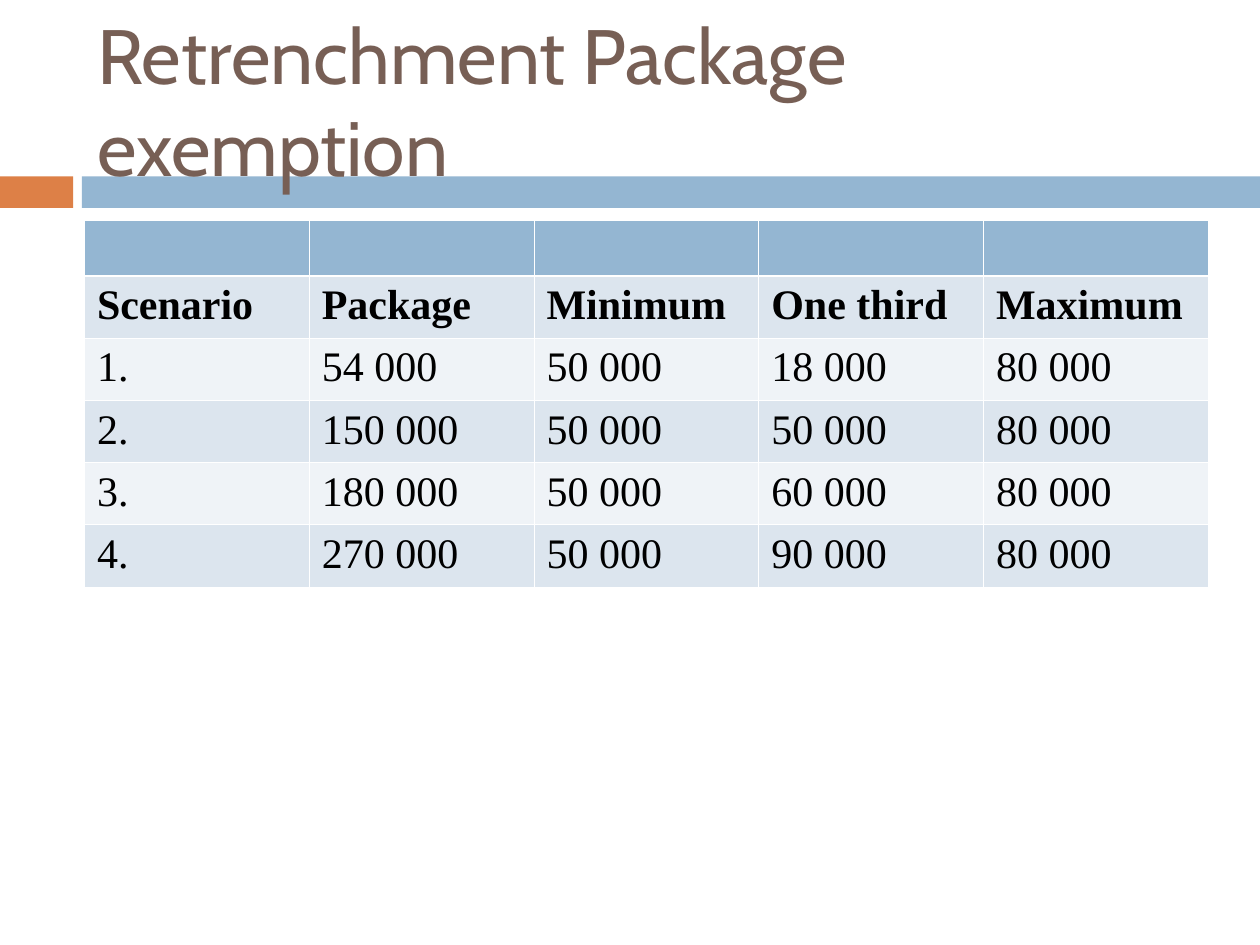
import pptx
import pptx.util
import pptx.dml.color
import pptx.enum.shapes
import pptx.enum.text
import pptx.oxml
import pptx.oxml.ns

Inches = pptx.util.Inches
Pt = pptx.util.Pt

BLUE, ORANGE, BROWN = "94B6D2", "DD8047", "775F55"
DARK, LIGHT = "DCE5EE", "EFF3F7"
ROWS = [
    ["", "", "", "", ""],
    ["Scenario", "Package", "Minimum", "One third", "Maximum"],
    ["1.", "54 000", "50 000", "18 000", "80 000"],
    ["2.", "150 000", "50 000", "50 000", "80 000"],
    ["3.", "180 000", "50 000", "60 000", "80 000"],
    ["4.", "270 000", "50 000", "90 000", "80 000"],
]


def paint(target, color):
    """Give a fill or font a solid colour."""
    if hasattr(target, "solid"):
        target.solid()
        target = target.fore_color
    else:
        target = target.color
    target.rgb = pptx.dml.color.RGBColor.from_string(color)


def style(item, form):
    for name, value in form.items():
        setattr(item, name, value)


def add_band(slide, left, top, width, height):
    """Draw the short orange block and the long blue bar."""
    block, gap = 0.58, 0.07
    start = block + gap
    for x, wide, color in [(0, block, ORANGE), (start, width - start, BLUE)]:
        bar = slide.shapes.add_shape(
            pptx.enum.shapes.MSO_SHAPE.RECTANGLE,
            Inches(left + x), Inches(top), Inches(wide), Inches(height))
        bar.shadow.inherit = False
        paint(bar.fill, color)
        bar.line.fill.background()


def set_title(slide, text, left, top, width, height):
    title = slide.shapes.title
    style(title, {"left": Inches(left), "top": Inches(top),
                  "width": Inches(width), "height": Inches(height)})
    frame = title.text_frame
    frame.text = text
    style(frame, {"word_wrap": True,
                  "auto_size": pptx.enum.text.MSO_AUTO_SIZE.NONE,
                  "vertical_anchor": pptx.enum.text.MSO_ANCHOR.MIDDLE})
    para = frame.paragraphs[0]
    para.alignment = pptx.enum.text.PP_ALIGN.LEFT
    font = para.runs[0].font
    style(font, {"name": "Cabin", "size": Pt(44), "bold": False})
    paint(font, BROWN)
    # The title overlaps the band, so it goes in front.
    slide.shapes.element.append(title.element)


def add_edges(cell, row):
    """Draw white cell borders, thicker below the header row."""
    widths = {"L": 0.45, "R": 0.45,
              "T": 1.47 if row == 1 else 0.45,
              "B": 1.47 if row == 0 else 0.45}
    props = cell._tc.get_or_add_tcPr()
    for side, width in widths.items():
        props.append(pptx.oxml.parse_xml(
            f'<a:ln{side} {pptx.oxml.ns.nsdecls("a")} w="{Pt(width)}">'
            '<a:solidFill><a:srgbClr val="FFFFFF"/></a:solidFill>'
            f'</a:ln{side}>'))


def fill_cell(cell, text, row):
    add_edges(cell, row)
    paint(cell.fill, BLUE if row == 0 else DARK if row % 2 else LIGHT)
    if text:
        cell.text = text
        font = cell.text_frame.paragraphs[0].runs[0].font
        style(font, {"name": "Times New Roman", "size": Pt(24),
                     "bold": row == 1})
        paint(font, "000000")


def add_grid(slide, left, top, width, height):
    head = 0.44
    step = (height - head) / (len(ROWS) - 1)
    grid = slide.shapes.add_table(
        len(ROWS), len(ROWS[0]), Inches(left), Inches(top),
        Inches(width), Inches(height)).table
    for r, texts in enumerate(ROWS):
        grid.rows[r].height = Inches(step if r else head)
        for c, text in enumerate(texts):
            fill_cell(grid.cell(r, c), text, r)


def main():
    deck = pptx.Presentation()
    style(deck, {"slide_width": Inches(10), "slide_height": Inches(7.5)})
    slide = deck.slides.add_slide(deck.slide_layouts.get_by_name("Title Only"))
    add_band(slide, 0, 1.4, 10, 0.25)
    set_title(slide, "Retrenchment Package exemption", 0.67, 0.25, 8.92, 1.08)
    add_grid(slide, 0.67, 1.75, 8.92, 2.91)
    deck.save("out.pptx")


if __name__ == "__main__":
    main()
